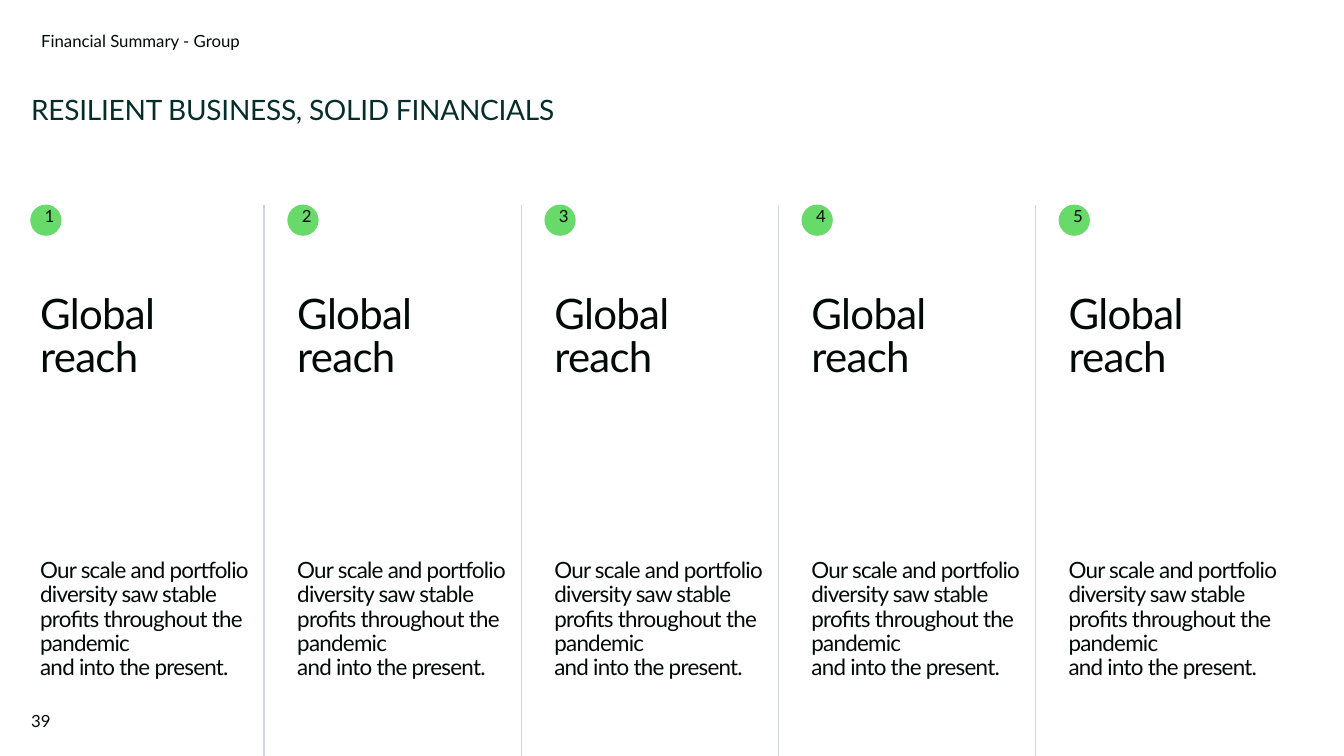
from dataclasses import dataclass

from lxml.etree import SubElement
from pptx import Presentation
from pptx.dml.color import RGBColor
from pptx.enum.shapes import MSO_CONNECTOR, MSO_SHAPE
from pptx.enum.text import MSO_ANCHOR, MSO_AUTO_SIZE, PP_ALIGN
from pptx.oxml.ns import qn
from pptx.util import Inches, Pt


@dataclass(frozen=True)
class Theme:
    font: str = "Lato"
    ink: str = "020A08"
    title_ink: str = "052E2B"
    accent: str = "68DA6A"
    rule: str = "CDD6DB"
    small: int = 12
    body: int = 16
    title: int = 20
    heading: int = 30


@dataclass(frozen=True)
class Grid:
    left: float = 0.3
    pitch: float = 2.55
    column_width: float = 2.33
    badge_row: float = 2.03
    heading_row: float = 2.88
    body_row: float = 5.5
    bottom: float = 7.5

    def column(self, index):
        return self.left + index * self.pitch


THEME = Theme()
GRID = Grid()
PILLARS = [
    ("Global reach",
     "Our scale and portfolio \ndiversity saw stable profits throughout the pandemic \nand into the present.")
] * 5


def write_text(frame, text, *, size, color=THEME.ink, align=None, line=None,
               after=None, tracking=None, anchor=MSO_ANCHOR.TOP, insets=(0.1, 0.05, 0.1, 0.05), grow=False):
    """Fill a text frame with one formatted paragraph; insets run left, top, right, bottom."""
    frame.word_wrap = True
    frame.auto_size = MSO_AUTO_SIZE.SHAPE_TO_FIT_TEXT if grow else MSO_AUTO_SIZE.NONE
    frame.vertical_anchor = anchor
    frame.margin_left, frame.margin_top, frame.margin_right, frame.margin_bottom = map(Inches, insets)
    para = frame.paragraphs[0]
    para.text = text
    para.alignment = align
    para.line_spacing = line
    if after is not None:
        para.space_after = Pt(after)
    for span in para.runs:
        span.font.name = THEME.font
        span.font.size = Pt(size)
        span.font.color.rgb = RGBColor.from_string(color)
        if tracking is not None:
            span.font._element.set("spc", str(round(tracking * 100)))


class Page:
    """Holds the theme and the slide being built."""

    def __init__(self, deck, theme):
        self.theme = theme
        self.slide = deck.slides.add_slide(deck.slide_layouts[6])

    def text(self, left, top, width, height, text, **style):
        box = self.slide.shapes.add_textbox(*map(Inches, (left, top, width, height)))
        write_text(box.text_frame, text, **style)

    def badge(self, left, top, number, diameter=0.31):
        badge = self.slide.shapes.add_shape(
            MSO_SHAPE.OVAL, *map(Inches, (left, top, diameter, diameter)))
        badge.shadow.inherit = False
        badge.fill.solid()
        badge.fill.fore_color.rgb = RGBColor.from_string(self.theme.accent)
        badge.line.fill.background()
        write_text(badge.text_frame, str(number), size=self.theme.small, align=PP_ALIGN.CENTER,
                   line=0.8, anchor=MSO_ANCHOR.MIDDLE, insets=(0.1, 0, 0.1, 0.05))

    def divider(self, x, top, bottom):
        rule = self.slide.shapes.add_connector(
            MSO_CONNECTOR.STRAIGHT, *map(Inches, (x, bottom, x, top)))
        rule.line.color.rgb = RGBColor.from_string(self.theme.rule)
        rule.line.width = Pt(1)
        SubElement(rule._element.spPr, qn("a:effectLst"))

    def pillar(self, index, heading, body):
        left = GRID.column(index)
        self.text(left, GRID.heading_row, GRID.column_width, 1.27, heading,
                  size=self.theme.heading, line=0.85, after=12, tracking=-0.5, grow=True)
        self.badge(left, GRID.badge_row, index + 1)
        self.text(left, GRID.body_row, GRID.column_width, 0.58, body,
                  size=self.theme.body, line=0.9, after=6, tracking=-0.5, grow=True)


def main():
    deck = Presentation()
    deck.slide_width, deck.slide_height = Inches(13.33), Inches(7.5)
    page = Page(deck, THEME)

    # Header, title and page number
    page.text(0.31, 0.28, 3.95, 0.18, "Financial Summary - Group",
              size=THEME.small, line=0.9, grow=True)
    page.text(0.31, 0.96, 6.3, 0.3, "RESILIENT BUSINESS, SOLID FINANCIALS", size=THEME.title,
              color=THEME.title_ink, line=0.9, tracking=-0.2, insets=(0, 0, 0, 0), grow=True)
    page.text(0.31, 6.95, 0.39, 0.4, "39", size=THEME.small,
              anchor=MSO_ANCHOR.MIDDLE, insets=(0, 0, 0, 0))

    # Numbered columns
    for index, (heading, body) in enumerate(PILLARS):
        page.pillar(index, heading, body)

    # Rules between the columns
    for index in range(1, len(PILLARS)):
        page.divider(GRID.column(index) - 0.23, GRID.badge_row, GRID.bottom)

    deck.save("out.pptx")


if __name__ == "__main__":
    main()
